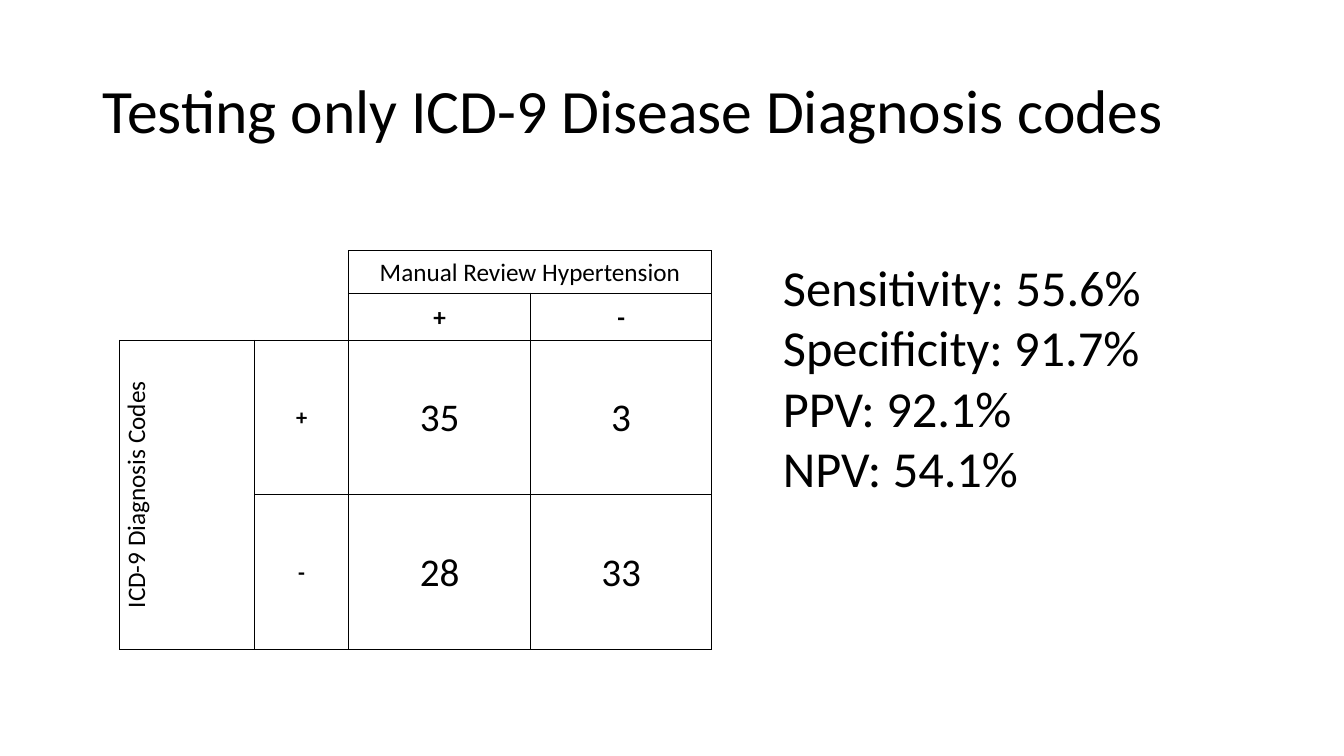
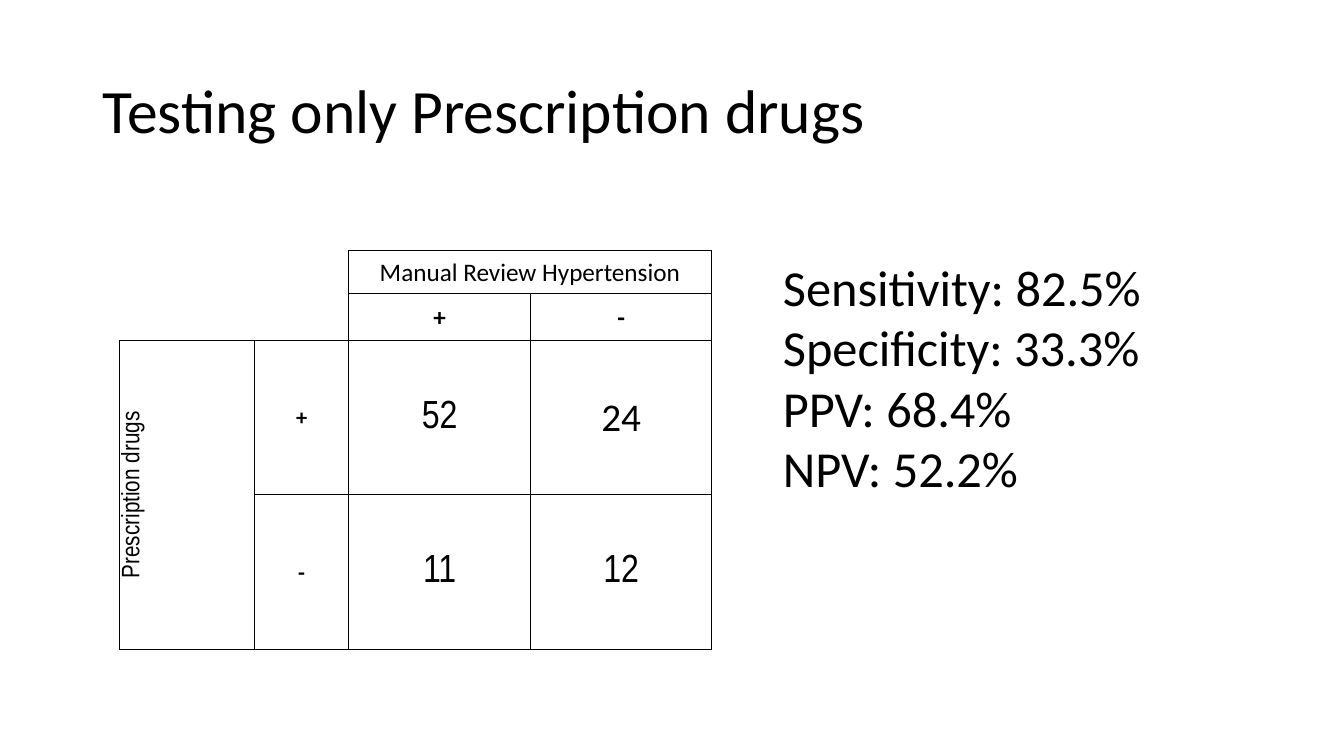
from dataclasses import dataclass
from itertools import product
from typing import Any

from lxml.etree import SubElement
from pptx import Presentation
from pptx.dml.color import RGBColor
from pptx.enum.text import MSO_ANCHOR as Anchor
from pptx.enum.text import MSO_AUTO_SIZE as Fit
from pptx.enum.text import PP_ALIGN as Align
from pptx.oxml.ns import qn
from pptx.util import Cm, Pt

BLACK = RGBColor(0x00, 0x00, 0x00)
WHITE = RGBColor(0xFF, 0xFF, 0xFF)
SANS = "Calibri"
NARROW = "Arial Narrow"

COLS = (3.4, 2.36, 4.6, 4.55)
ROWS = (1.07, 1.19, 3.89, 3.89)
HEAD = 2  # header rows and columns
PAD = Cm(0.03)
INSETS = {"margin_left": PAD, "margin_right": PAD,
          "margin_top": PAD, "margin_bottom": 0,
          "vertical_anchor": Anchor.MIDDLE}


@dataclass(frozen=True)
class Entry:
    text: str
    size: int = 28
    bold: bool = False
    face: str = SANS


@dataclass(frozen=True)
class Test:
    title: str
    label: Entry
    counts: tuple[tuple[Entry, Entry], tuple[Entry, Entry]]
    scores: tuple[str, str, str, str]


TESTS = (
    Test("Testing only ICD-9 Disease Diagnosis codes",
         Entry("ICD-9 Diagnosis Codes", 18),
         ((Entry("35"), Entry("3")), (Entry("28"), Entry("33"))),
         ("55.6%", "91.7%", "92.1%", "54.1%")),
    Test("Testing only Prescription drugs",
         Entry("Prescription drugs", 18, face=NARROW),
         ((Entry("52", face=NARROW), Entry("24")),
          (Entry("11", face=NARROW), Entry("12", face=NARROW))),
         ("82.5%", "33.3%", "68.4%", "52.2%")),
)
SCORES = ("Sensitivity", "Specificity", "PPV", "NPV")


def apply(item: Any, values: dict[str, Any]) -> None:
    for name, value in values.items():
        setattr(item, name, value)


def write(para: Any, entry: Entry) -> None:
    run = para.add_run()
    run.text = entry.text
    apply(run.font, {"size": Pt(entry.size), "bold": entry.bold,
                     "name": entry.face})
    run.font.color.rgb = BLACK


def add_title(slide: Any, text: str) -> None:
    title = slide.shapes.title
    apply(title, {"left": Cm(2.33), "top": Cm(1.01),
                  "width": Cm(29.21), "height": Cm(3.68)})
    apply(title.text_frame, {"vertical_anchor": Anchor.MIDDLE,
                             "word_wrap": True, "auto_size": Fit.NONE})
    para = title.text_frame.paragraphs[0]
    apply(para, {"alignment": Align.LEFT, "line_spacing": 0.9})
    write(para, Entry(text, 44))


def edge(cell: Any, row: int, col: int) -> None:
    """Draw the cell's borders, white around the empty top left corner."""
    corner = row < HEAD and col < HEAD
    pale = {"L": corner, "R": corner and col < HEAD - 1,
            "T": corner, "B": corner and row < HEAD - 1}
    props = cell._tc.get_or_add_tcPr()
    for side, white in pale.items():
        line = SubElement(props, qn(f"a:ln{side}"), w=str(Pt(1)))
        fill = SubElement(line, qn("a:solidFill"))
        SubElement(fill, qn("a:srgbClr"), val=str(WHITE if white else BLACK))


def add_grid(slide: Any, test: Test) -> None:
    frame = slide.shapes.add_table(len(ROWS), len(COLS), Cm(3.02), Cm(6.32),
                                   Cm(sum(COLS)), Cm(sum(ROWS)))
    table = frame.table
    apply(table, {"first_row": False, "horz_banding": False})
    for col, width in zip(table.columns, COLS):
        col.width = Cm(width)
    for row, height in zip(table.rows, ROWS):
        row.height = Cm(height)

    entries = {(0, HEAD): Entry("Manual Review Hypertension", 18),
               (HEAD, 0): test.label}
    for pos, sign in enumerate("+-"):
        entries[1, HEAD + pos] = Entry(sign, 18, True)
        entries[HEAD + pos, 1] = Entry(sign, 16, True)
    for row, col in product(range(2), repeat=2):
        entries[HEAD + row, HEAD + col] = test.counts[row][col]

    for row, col in product(range(len(ROWS)), range(len(COLS))):
        cell = table.cell(row, col)
        apply(cell, INSETS)
        edge(cell, row, col)
        cell.fill.background()
        if (row, col) in entries:
            para = cell.text_frame.paragraphs[0]
            para.alignment = Align.CENTER
            write(para, entries[row, col])

    table.cell(0, HEAD).merge(table.cell(0, HEAD + 1))
    side = table.cell(HEAD, 0)
    side.merge(table.cell(HEAD + 1, 0))
    side._tc.get_or_add_tcPr().set("vert", "vert270")


def add_scores(slide: Any, values: tuple[str, ...]) -> None:
    box = slide.shapes.add_textbox(Cm(19.48), Cm(6.32), Cm(10.7), Cm(6.4))
    frame = box.text_frame
    apply(frame, {"word_wrap": True, "auto_size": Fit.SHAPE_TO_FIT_TEXT})
    for pos, (name, value) in enumerate(zip(SCORES, values)):
        para = frame.add_paragraph() if pos else frame.paragraphs[0]
        write(para, Entry(f"{name}: {value}", 36))


def main() -> None:
    deck = Presentation()
    apply(deck, {"slide_width": Cm(33.87), "slide_height": Cm(19.05)})
    layout = deck.slide_layouts.get_by_name("Title Only")
    for test in TESTS:
        slide = deck.slides.add_slide(layout)
        add_title(slide, test.title)
        add_grid(slide, test)
        add_scores(slide, test.scores)
    deck.save("out.pptx")


if __name__ == "__main__":
    main()
